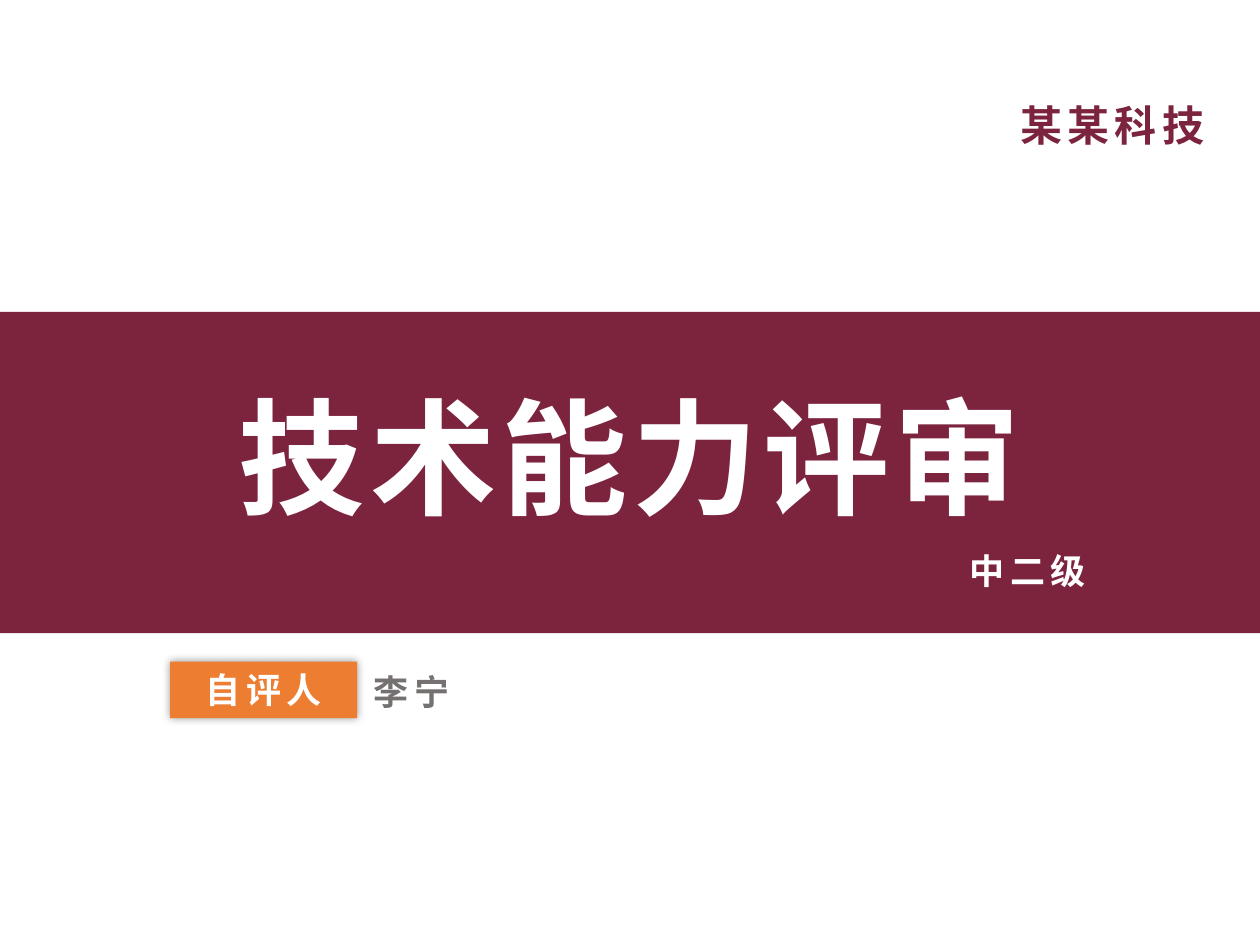
from pptx import Presentation
from pptx.dml.color import RGBColor
from pptx.enum.shapes import MSO_SHAPE as Shape
from pptx.enum.text import MSO_ANCHOR as Anchor, MSO_AUTO_SIZE as Fit, PP_ALIGN as Align
from pptx.oxml import parse_xml
from pptx.oxml.ns import nsdecls, qn
from pptx.util import Inches, Pt
from lxml.etree import SubElement

WIDE, HIGH = 10, 7.5
FACE = "Noto Sans CJK SC"
WINE, AMBER, WHITE, GREY = "7C233E", "ED7D31", "FFFFFF", "767171"


def tint(code):
    return RGBColor.from_string(code)


def part(box, x, y, w, h):
    left, top, wide, high = box
    return left + x * wide, top + y * high, w * wide, h * high


def style(frame, text, size, color, align):
    para = frame.paragraphs[0]
    para.alignment = align
    run = para.add_run()
    run.text = text
    looks = {"name": FACE, "size": Pt(size), "bold": True}
    for key, value in looks.items():
        setattr(run.font, key, value)
    run.font.color.rgb = tint(color)
    props = run.font._element
    props.set("spc", "300")
    SubElement(props, qn("a:ea")).set("typeface", FACE)


def label(slide, box, text, size, color, align=Align.LEFT):
    item = slide.shapes.add_textbox(*map(Inches, box))
    frame = item.text_frame
    for key, value in {"word_wrap": True, "auto_size": Fit.SHAPE_TO_FIT_TEXT}.items():
        setattr(frame, key, value)
    style(frame, text, size, color, align)


def block(slide, box, color):
    item = slide.shapes.add_shape(Shape.RECTANGLE, *map(Inches, box))
    item.shadow.inherit = False
    item.fill.solid()
    item.fill.fore_color.rgb = tint(color)
    item.line.fill.background()
    return item


def glow(item):
    item._element.spPr.find(qn("a:effectLst")).append(parse_xml(
        f'<a:outerShdw {nsdecls("a")} blurRad="{Pt(5)}" dist="0" dir="0" algn="ctr" '
        'rotWithShape="0"><a:srgbClr val="000000"><a:alpha val="40000"/>'
        '</a:srgbClr></a:outerShdw>'))


def header(slide, box):
    label(slide, part(box, 0.8, 0.3, 0.18, 0.2), "某某科技", 24, WINE)


def banner(slide, box):
    block(slide, box, WINE)
    label(slide, part(box, 0.116, 0.19, 0.768, 0.51), "技术能力评审", 72, WHITE, Align.CENTER)
    label(slide, part(box, 0.76, 0.72, 0.18, 0.17), "中二级", 20, WHITE)


def person(slide, box):
    tag = block(slide, part(box, 0, 0, 0.45, 1), AMBER)
    glow(tag)
    tag.text_frame.vertical_anchor = Anchor.MIDDLE
    style(tag.text_frame, "自评人", 20, WHITE, Align.CENTER)
    label(slide, part(box, 0.46, 0.04, 0.54, 1), "李宁", 20, GREY)


def main():
    deck = Presentation()
    deck.slide_width, deck.slide_height = Inches(WIDE), Inches(HIGH)
    slide = deck.slides.add_slide(deck.slide_layouts[6])
    page = (0, 0, WIDE, HIGH)
    header(slide, part(page, 0, 0, 1, 0.33))
    banner(slide, part(page, 0, 0.33, 1, 0.34))
    person(slide, part(page, 0.135, 0.7, 0.33, 0.06))
    deck.save("out.pptx")


if __name__ == "__main__":
    main()
